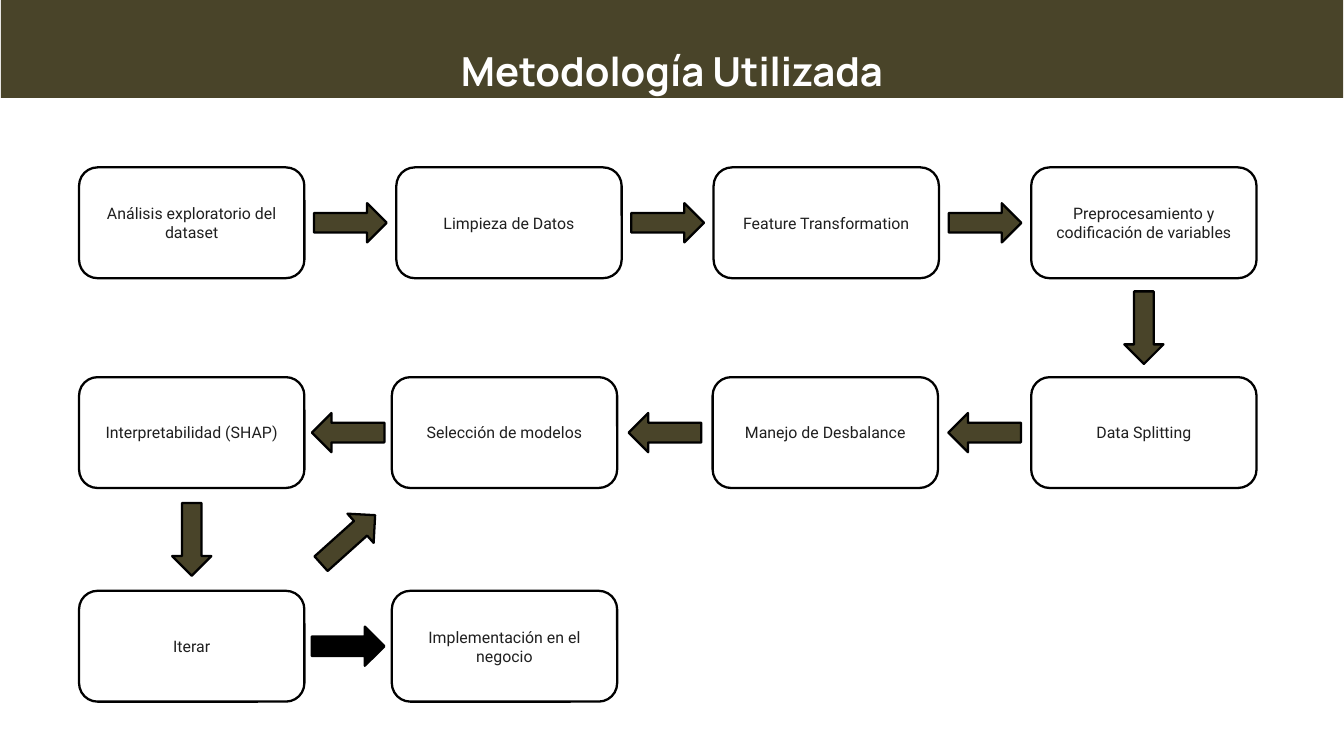
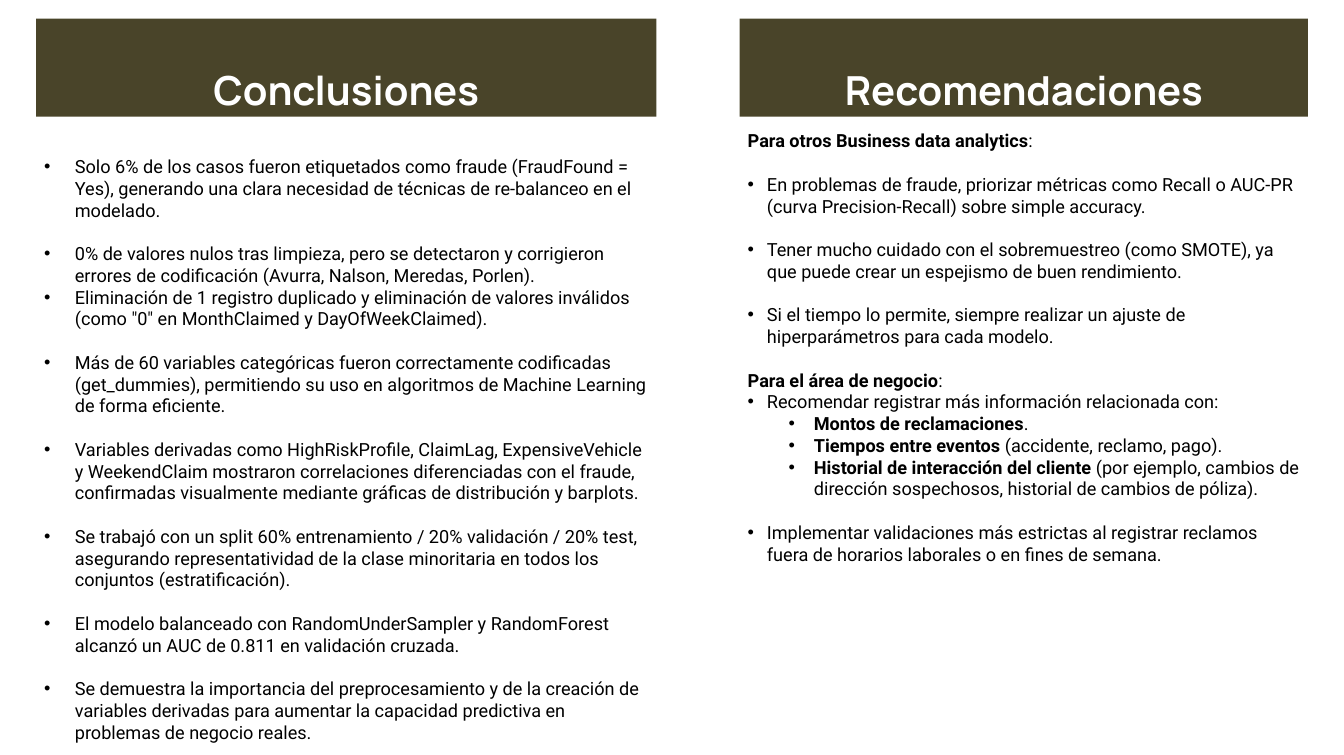
from dataclasses import dataclass

from lxml import etree
from pptx import Presentation
from pptx.dml.color import RGBColor
from pptx.enum import shapes, text
from pptx.oxml import ns
from pptx.util import Cm, Pt


@dataclass(frozen=True)
class Theme:
    olive: str = "494429"
    white: str = "FFFFFF"
    black: str = "000000"
    step_ink: str = "1F1F1F"
    title_font: str = "Manrope"
    body_font: str = "Roboto"
    title_size: float = 35.3
    body_size: float = 16
    step_size: float = 14
    outline: float = 2
    blank_line: float = 19.2


@dataclass(frozen=True)
class Box:
    left: float
    top: float
    width: float
    height: float

    def place(self, shape):
        shape.left, shape.top = Cm(self.left), Cm(self.top)
        shape.width, shape.height = Cm(self.width), Cm(self.height)


@dataclass(frozen=True)
class Item:
    plain: str
    bold: str = ""
    style: str = "bullet"
    gap: bool = True


THEME = Theme()
SLIDE_WIDTH, SLIDE_HEIGHT = 41.81, 23.5
BAND_HEIGHT = 3.05
STEP_WIDTH, STEP_HEIGHT = 7.01, 3.45
ARROW_WIDTH, ARROW_HEIGHT = 2.26, 1.22
SUB_INDENT = (2.06, 0.79)

FLOW_ROWS = (
    (0, (0, 9.87, 19.74, 29.62), (
        "Análisis exploratorio del dataset",
        "Limpieza de Datos",
        "Feature Transformation",
        "Preprocesamiento y codificación de variables",
    )),
    (6.53, (0, 9.73, 19.71, 29.62), (
        "Interpretabilidad (SHAP)",
        "Selección de modelos",
        "Manejo de Desbalance",
        "Data Splitting",
    )),
    (13.18, (0, 9.73), (
        "Iterar",
        "Implementación en el negocio",
    )),
)

FLOW_LINKS = (
    ((0, 0), (0, 1), 0, THEME.olive),
    ((0, 1), (0, 2), 0, THEME.olive),
    ((0, 2), (0, 3), 0, THEME.olive),
    ((0, 3), (1, 3), 90, THEME.olive),
    ((1, 3), (1, 2), 180, THEME.olive),
    ((1, 2), (1, 1), 180, THEME.olive),
    ((1, 1), (1, 0), 180, THEME.olive),
    ((1, 0), (2, 0), 90, THEME.olive),
    ((2, 0), (2, 1), 0, THEME.black),
    ((2, 0), (1, 1), 318.1, THEME.olive),
)

CONCLUSIONS = (
    Item("Solo 6% de los casos fueron etiquetados como fraude (FraudFound = Yes), "
         "generando una clara necesidad de técnicas de re-balanceo en el modelado.", gap=False),
    Item("0% de valores nulos tras limpieza, pero se detectaron y corrigieron "
         "errores de codificación (Avurra, Nalson, Meredas, Porlen)."),
    Item("Eliminación de 1 registro duplicado y eliminación de valores inválidos "
         "(como \"0\" en MonthClaimed y DayOfWeekClaimed).", gap=False),
    Item("Más de 60 variables categóricas fueron correctamente codificadas "
         "(get_dummies), permitiendo su uso en algoritmos de Machine Learning "
         "de forma eficiente."),
    Item("Variables derivadas como HighRiskProfile, ClaimLag, ExpensiveVehicle "
         "y WeekendClaim mostraron correlaciones diferenciadas con el fraude, "
         "confirmadas visualmente mediante gráficas de distribución y barplots."),
    Item("Se trabajó con un split 60% entrenamiento / 20% validación / 20% test, "
         "asegurando representatividad de la clase minoritaria en todos los "
         "conjuntos (estratificación)."),
    Item("El modelo balanceado con RandomUnderSampler y RandomForest "
         "alcanzó un AUC de 0.811 en validación cruzada."),
    Item("Se demuestra la importancia del preprocesamiento y de la creación de "
         "variables derivadas para aumentar la capacidad predictiva en "
         "problemas de negocio reales."),
)

RECOMMENDATIONS = (
    Item(":", "Para otros Business data analytics", "heading", gap=False),
    Item("En problemas de fraude, priorizar métricas como Recall o AUC-PR "
         "(curva Precision-Recall) sobre simple accuracy."),
    Item("Tener mucho cuidado con el sobremuestreo (como SMOTE), ya que puede "
         "crear un espejismo de buen rendimiento."),
    Item("Si el tiempo lo permite, siempre realizar un ajuste de "
         "hiperparámetros para cada modelo."),
    Item(":", "Para el área de negocio", "heading"),
    Item("Recomendar registrar más información relacionada con:", gap=False),
    Item(".", "Montos de reclamaciones", "sub", gap=False),
    Item(" (accidente, reclamo, pago).", "Tiempos entre eventos", "sub", gap=False),
    Item(" (por ejemplo, cambios de dirección sospechosos, historial de cambios "
         "de póliza).", "Historial de interacción del cliente", "sub", gap=False),
    Item("Implementar validaciones más estrictas al registrar reclamos "
         "fuera de horarios laborales o en fines de semana."),
)


def style_run(run, font, size, colour, bold=False):
    run.font.name = font
    run.font.size = Pt(size)
    run.font.bold = bold
    run.font.color.rgb = RGBColor.from_string(colour)


def paint(shape, fill, line=None):
    shape.fill.solid()
    shape.fill.fore_color.rgb = RGBColor.from_string(fill)
    if line:
        shape.line.color.rgb = RGBColor.from_string(line)
        shape.line.width = Pt(THEME.outline)
    else:
        shape.line.fill.background()


def set_frame(frame, anchor, side, top, bottom):
    frame.word_wrap = True
    frame.auto_size = text.MSO_AUTO_SIZE.NONE
    frame.vertical_anchor = anchor
    frame.margin_left = frame.margin_right = Cm(side)
    frame.margin_top, frame.margin_bottom = Cm(top), Cm(bottom)


def set_bullet(paragraph, indent, hanging, shown):
    properties = paragraph._p.get_or_add_pPr()
    properties.set("marL", str(Cm(indent)))
    properties.set("indent", str(-Cm(hanging)))
    if not shown:
        etree.SubElement(properties, ns.qn("a:buNone"))
        return
    colour = etree.SubElement(properties, ns.qn("a:buClr"))
    etree.SubElement(colour, ns.qn("a:srgbClr"), val=THEME.black)
    etree.SubElement(properties, ns.qn("a:buFont"), typeface="Arial")
    etree.SubElement(properties, ns.qn("a:buChar"), char="•")


def title_band(placeholder, box, wording):
    box.place(placeholder)
    paint(placeholder, THEME.olive)
    frame = placeholder.text_frame
    set_frame(frame, text.MSO_ANCHOR.BOTTOM, 0.2, 0.1, 0.1)
    frame.text = wording
    heading = frame.paragraphs[0]
    heading.alignment = text.PP_ALIGN.CENTER
    heading.line_spacing = 0.82
    heading.space_before = Pt(0)
    set_bullet(heading, 0, 0, False)
    style_run(heading.runs[0], THEME.title_font, THEME.title_size, THEME.white, True)


def bullet_list(placeholder, box, items, indent, top_margin):
    box.place(placeholder)
    frame = placeholder.text_frame
    set_frame(frame, text.MSO_ANCHOR.TOP, 0.25, top_margin, 0.13)
    for index, item in enumerate(items):
        paragraph = frame.add_paragraph() if index else frame.paragraphs[0]
        paragraph.level = 1 if item.style == "sub" else 0
        paragraph.alignment = text.PP_ALIGN.LEFT
        paragraph.space_before = Pt(THEME.blank_line if item.gap else 0)
        margins = {"heading": (0, 0), "bullet": (indent, indent), "sub": SUB_INDENT}
        set_bullet(paragraph, *margins[item.style], item.style != "heading")
        for wording, bold in ((item.bold, True), (item.plain, False)):
            if wording:
                run = paragraph.add_run()
                run.text = wording
                style_run(run, THEME.body_font, THEME.body_size, THEME.black, bold)


def flow_step(slide, box, wording):
    step = slide.shapes.add_shape(shapes.MSO_SHAPE.ROUNDED_RECTANGLE, 0, 0, 0, 0)
    box.place(step)
    step.shadow.inherit = False
    paint(step, THEME.white, THEME.black)
    set_frame(step.text_frame, text.MSO_ANCHOR.MIDDLE, 0.25, 0.13, 0.13)
    step.text_frame.text = wording
    label = step.text_frame.paragraphs[0]
    label.alignment = text.PP_ALIGN.CENTER
    style_run(label.runs[0], THEME.body_font, THEME.step_size, THEME.step_ink)


def flow_arrow(slide, source, target, turn, colour):
    left = (source.left + target.left + STEP_WIDTH - ARROW_WIDTH) / 2
    left += (STEP_WIDTH - ARROW_WIDTH) / 2 - (STEP_WIDTH - ARROW_WIDTH) / 2
    top = (source.top + target.top + STEP_HEIGHT - ARROW_HEIGHT) / 2
    arrow = slide.shapes.add_shape(shapes.MSO_SHAPE.RIGHT_ARROW, 0, 0, 0, 0)
    Box(left, top, ARROW_WIDTH, ARROW_HEIGHT).place(arrow)
    arrow.rotation = turn
    arrow.shadow.inherit = False
    paint(arrow, colour, THEME.black)


def flow_chart(slide, left, top):
    steps = {}
    for row, (offset, columns, labels) in enumerate(FLOW_ROWS):
        for column, (shift, label) in enumerate(zip(columns, labels)):
            box = Box(left + shift, top + offset, STEP_WIDTH, STEP_HEIGHT)
            steps[row, column] = box
            flow_step(slide, box, label)
    for source, target, turn, colour in FLOW_LINKS:
        flow_arrow(slide, steps[source], steps[target], turn, colour)


def titled_list(title, body, box, wording, items, indent, top_margin):
    title_band(title, Box(box.left, box.top, box.width, BAND_HEIGHT), wording)
    list_top = box.top + BAND_HEIGHT + 0.28
    list_height = box.top + box.height - list_top
    bullet_list(body, Box(box.left, list_top, box.width, list_height),
                items, indent, top_margin)


def methodology_slide(deck):
    slide = deck.slides.add_slide(deck.slide_layouts[5])
    title_band(slide.shapes.title, Box(0.03, 0, SLIDE_WIDTH - 0.06, BAND_HEIGHT),
               "Metodología Utilizada")
    flow_chart(slide, 2.46, 5.21)


def findings_slide(deck):
    slide = deck.slides.add_slide(deck.slide_layouts[4])
    slots = {slot.placeholder_format.idx: slot for slot in slide.placeholders}
    titled_list(slots[0], slots[2], Box(1.12, 0.58, 19.3, 22.7),
                "Conclusiones", CONCLUSIONS, 0.96, 0.93)
    titled_list(slots[1], slots[4], Box(23.01, 0.58, 17.68, 17.28),
                "Recomendaciones", RECOMMENDATIONS, 0.6, 0.13)
    unused = slots[3]._element
    unused.getparent().remove(unused)


def main():
    deck = Presentation()
    deck.slide_width, deck.slide_height = Cm(SLIDE_WIDTH), Cm(SLIDE_HEIGHT)
    methodology_slide(deck)
    findings_slide(deck)
    deck.save("out.pptx")


if __name__ == "__main__":
    main()
